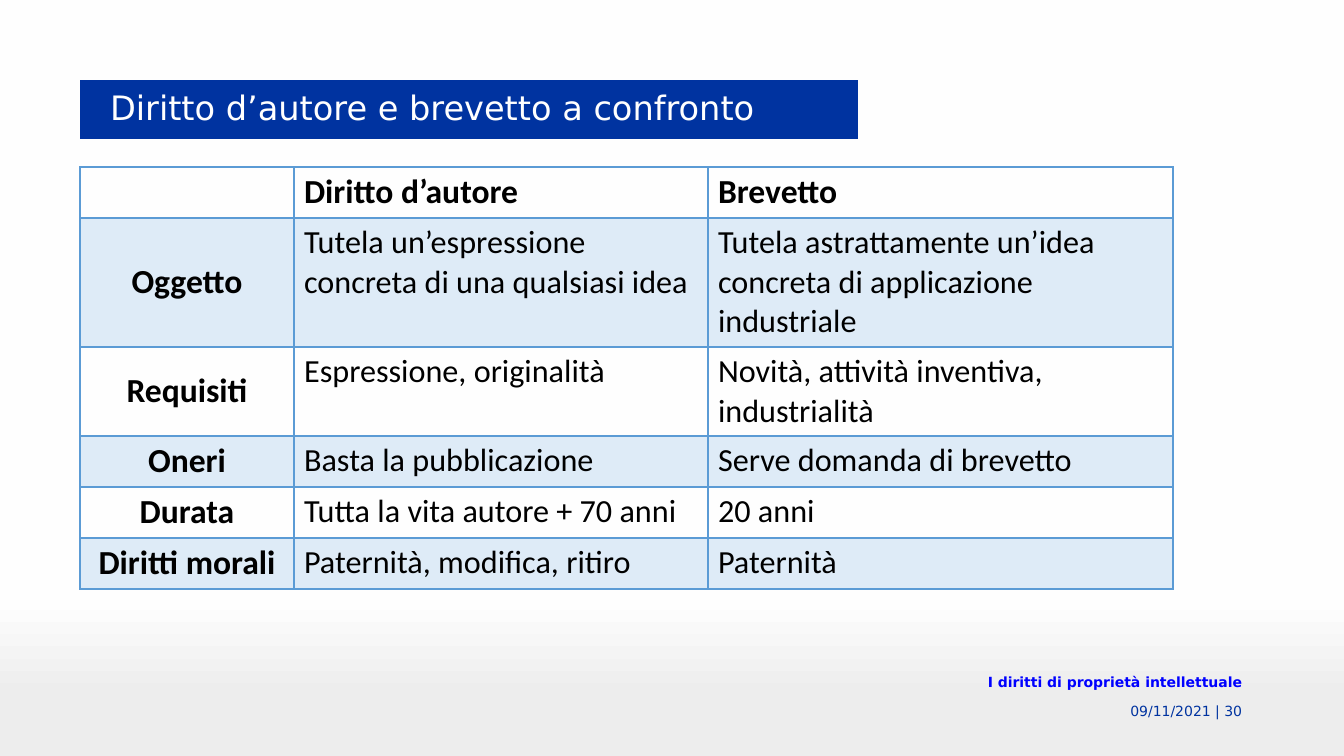
import lxml.etree
import pptx
import pptx.dml.color
import pptx.enum.text
import pptx.oxml.ns
import pptx.util

TITLE = "Diritto d’autore e brevetto a confronto"
FOOTERS = [
    # text, box in px, colour, bold
    ("09/11/2021 | 30", (950, 701, 302, 19), "0033A0", False),
    ("I diritti di proprietà intellettuale", (796, 663, 456, 38), "0000FF", True),
]
ROWS = [
    ("", "Diritto d’autore", "Brevetto"),
    ("Oggetto", "Tutela un’espressione concreta di una qualsiasi idea",
     "Tutela astrattamente un’idea concreta di applicazione industriale"),
    ("Requisiti", "Espressione, originalità", "Novità, attività inventiva, industrialità"),
    ("Oneri", "Basta la pubblicazione", "Serve domanda di brevetto"),
    ("Durata", "Tutta la vita autore + 70 anni", "20 anni"),
    ("Diritti morali", "Paternità, modifica, ritiro", "Paternità"),
]
COL_WIDTHS = [214, 414, 465]
ROW_HEIGHTS = [51, 129, 89, 51, 51, 51]
TABLE_LEFT, TABLE_TOP = 80, 167
TITLE_BOX = (80, 80, 778, 59)
BACKGROUND = [(0.79, "FEFEFE"), (0.92, "EDEDED")]
BLUE, BAND, LINE = "0033A0", "DEEBF7", "5B9BD5"
SANS, BODY = "DejaVu Sans", "Calibri"

ALIGN = pptx.enum.text.PP_ALIGN
ANCHOR = pptx.enum.text.MSO_ANCHOR


def px(n):
    return round(n * 914400 / 100.8)


def rgb(value):
    return pptx.dml.color.RGBColor.from_string(value)


def set_all(obj, values):
    for name, value in values.items():
        setattr(obj, name, value)


def write(tf, text, align, color, **font):
    """Put one formatted paragraph in a text frame."""
    p = tf.paragraphs[0]
    p.alignment = align
    r = p.add_run()
    r.text = text
    set_all(r.font, font)
    r.font.color.rgb = rgb(color)
    return p


def add_borders(cell, bottom):
    """Draw the four cell edges; the bottom width is given in points."""
    tc_pr = cell._tc.get_or_add_tcPr()
    qn = pptx.oxml.ns.qn
    for i, side in enumerate("LRTB"):
        width = pptx.util.Pt(bottom if side == "B" else 1)
        ln = lxml.etree.Element(qn(f"a:ln{side}"), w=str(width))
        fill = lxml.etree.SubElement(ln, qn("a:solidFill"))
        lxml.etree.SubElement(fill, qn("a:srgbClr"), val=LINE)
        tc_pr.insert(i, ln)


def add_background(slide):
    fill = slide.background.fill
    fill.gradient()
    fill.gradient_angle = 270
    for stop, (position, color) in zip(fill.gradient_stops, BACKGROUND):
        stop.position = position
        stop.color.rgb = rgb(color)


def add_title(slide):
    sp = slide.shapes.title
    set_all(sp, dict(zip(("left", "top", "width", "height"), map(px, TITLE_BOX))))
    sp.fill.solid()
    sp.fill.fore_color.rgb = rgb(BLUE)
    tf = sp.text_frame
    set_all(tf, {"margin_left": px(30), "vertical_anchor": ANCHOR.MIDDLE,
                 "auto_size": pptx.enum.text.MSO_AUTO_SIZE.NONE, "word_wrap": True})
    p = write(tf, TITLE, ALIGN.LEFT, "FFFFFF", name=SANS, size=pptx.util.Pt(24))
    p.line_spacing = 0.9


def add_footers(slide):
    for text, box, color, bold in FOOTERS:
        tf = slide.shapes.add_textbox(*map(px, box)).text_frame
        set_all(tf, {"word_wrap": True, "vertical_anchor": ANCHOR.MIDDLE})
        write(tf, text, ALIGN.RIGHT, color, name=SANS, size=pptx.util.Pt(10), bold=bold)


def add_comparison(slide):
    table = slide.shapes.add_table(
        len(ROWS), len(COL_WIDTHS), px(TABLE_LEFT), px(TABLE_TOP),
        px(sum(COL_WIDTHS)), px(sum(ROW_HEIGHTS))).table
    set_all(table, {"first_row": False, "horz_banding": False})
    for col, width in zip(table.columns, COL_WIDTHS):
        col.width = px(width)
    for row, height in zip(table.rows, ROW_HEIGHTS):
        row.height = px(height)
    for i, texts in enumerate(ROWS):
        for j, text in enumerate(texts):
            cell = table.cell(i, j)
            if i % 2:
                cell.fill.solid()
                cell.fill.fore_color.rgb = rgb(BAND)
            else:
                cell.fill.background()
            add_borders(cell, bottom=1 if i else 2)
            cell.vertical_anchor = ANCHOR.TOP if j else ANCHOR.MIDDLE
            heading = i == 0 or j == 0
            if text:
                write(cell.text_frame, text, ALIGN.LEFT if j else ALIGN.CENTER, "000000",
                      name=BODY, size=pptx.util.Pt(24 if heading else 23), bold=heading)


def main():
    prs = pptx.Presentation()
    set_all(prs, {"slide_width": px(1344), "slide_height": px(756)})
    slide = prs.slides.add_slide(prs.slide_layouts[5])
    add_background(slide)
    add_title(slide)
    add_footers(slide)
    add_comparison(slide)
    prs.save("out.pptx")


if __name__ == "__main__":
    main()
